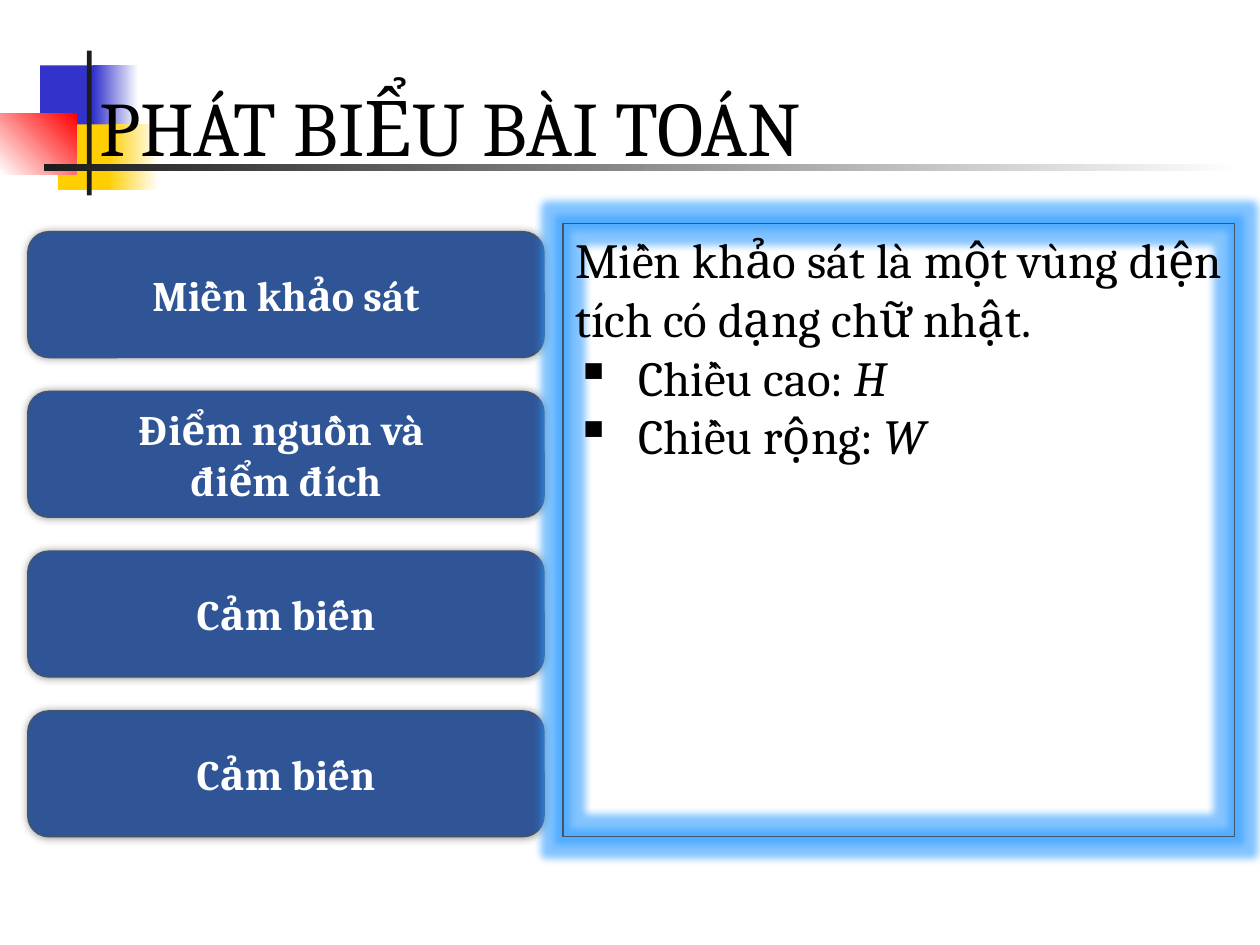
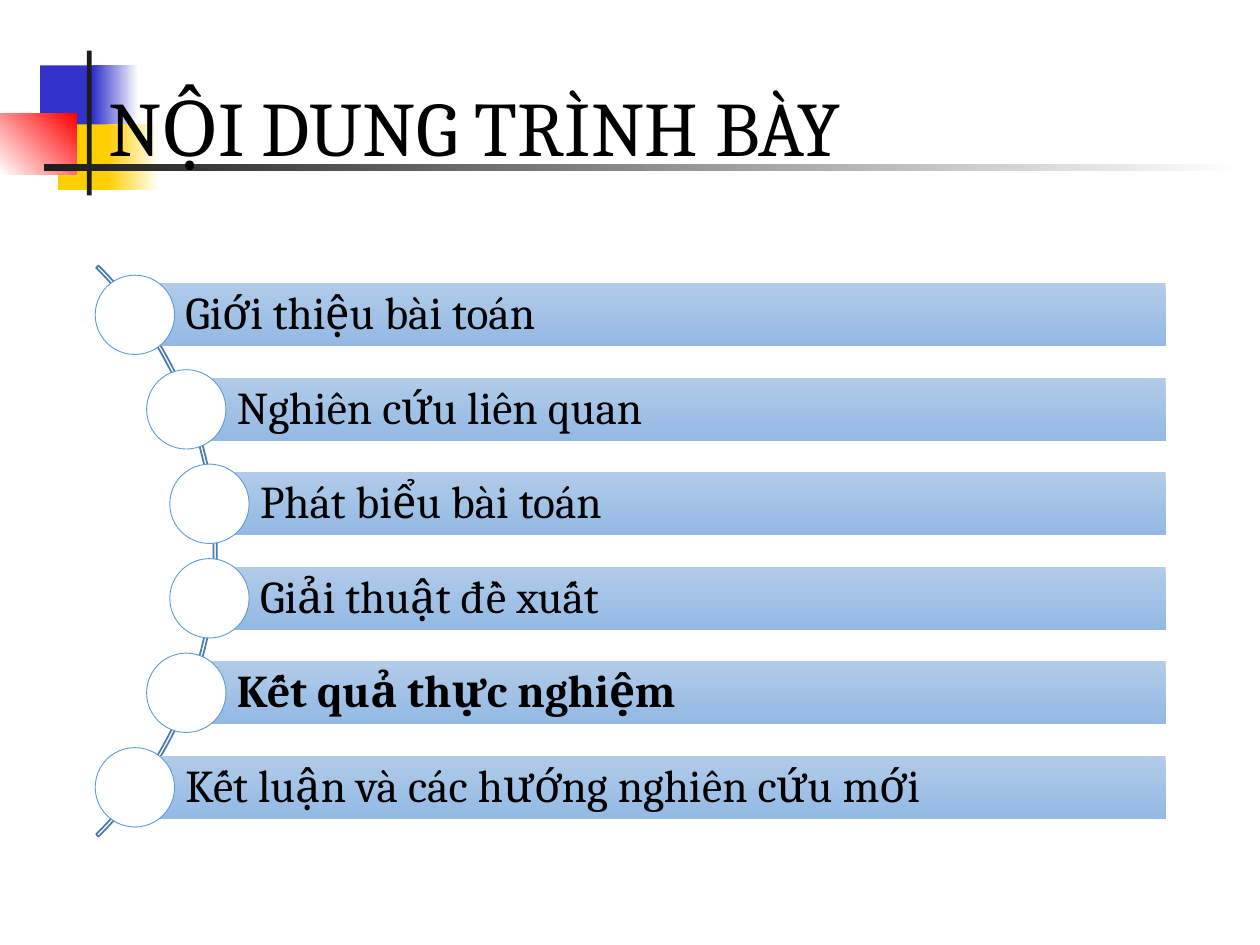
import math
from dataclasses import dataclass

import lxml.etree
import pptx
import pptx.dml.color
import pptx.enum.shapes
import pptx.enum.text
import pptx.oxml.ns
import pptx.util

Cm = pptx.util.Cm
Pt = pptx.util.Pt
qn = pptx.oxml.ns.qn
Shapes = pptx.enum.shapes.MSO_SHAPE
Align = pptx.enum.text.PP_ALIGN
Anchor = pptx.enum.text.MSO_ANCHOR


@dataclass(frozen=True)
class Theme:
    font: str = "Cambria"
    black: str = "000000"
    white: str = "FFFFFF"
    blue: str = "3333CC"
    yellow: str = "FFCF01"
    red: str = "FF0000"
    rule: str = "1C1C1C"
    card: str = "2F5597"
    outline: str = "44546A"
    glow: str = "319DFF"
    arc: str = "497CAB"
    circle: str = "5B9BD5"
    bar_top: str = "B1CBE9"
    bar_bottom: str = "93B9E4"
    title_size: int = 44
    body_size: int = 28
    agenda_size: int = 26
    card_size: int = 24


THEME = Theme()


@dataclass(frozen=True)
class Box:
    left: float
    top: float
    width: float
    height: float

    def lengths(self) -> list[int]:
        return [Cm(side) for side in (self.left, self.top, self.width, self.height)]


@dataclass(frozen=True)
class Gradient:
    start: str
    end: str
    angle: int = 0


@dataclass(frozen=True)
class Outline:
    color: str
    width: float


@dataclass(frozen=True)
class Run:
    text: str
    italic: bool = False


@dataclass(frozen=True)
class Line:
    runs: tuple[Run, ...]
    align: Align = Align.LEFT
    bullet: str = ""


@dataclass(frozen=True)
class Block:
    box: Box
    fill: str | Gradient


@dataclass(frozen=True)
class AgendaItem:
    text: str
    current: bool = False


MOTIF = (
    Block(Box(0.81, 1.32, 1.22, 1.32), THEME.blue),
    Block(Box(1.88, 1.32, 0.91, 1.32), Gradient(THEME.blue, THEME.white)),
    Block(Box(1.17, 2.51, 1.17, 1.32), THEME.yellow),
    Block(Box(2.18, 2.51, 1.02, 1.32), Gradient(THEME.yellow, THEME.white)),
    Block(Box(0, 2.29, 1.55, 1.22), Gradient(THEME.white, THEME.red, 45)),
    Block(Box(1.75, 1.02, 0.1, 2.92), THEME.rule),
    Block(Box(0.89, 3.3, 24.15, 0.15), Gradient(THEME.rule, THEME.white)),
)

CARDS = (
    ("Miền khảo sát",),
    ("Điểm nguồn và ", "điểm đích"),
    ("Cảm biến",),
    ("Cảm biến",),
)

PANEL_LINES = (
    Line((Run("Miền khảo sát là một vùng diện tích có dạng chữ nhật."),), Align.JUSTIFY),
    Line((Run("Chiều cao: "), Run("H", italic=True)), bullet="▪"),
    Line((Run("Chiều rộng: "), Run("W", italic=True)), bullet="▪"),
)

AGENDA = (
    AgendaItem("Giới thiệu bài toán"),
    AgendaItem("Nghiên cứu liên quan"),
    AgendaItem("Phát biểu bài toán"),
    AgendaItem("Giải thuật đề xuất"),
    AgendaItem("Kết quả thực nghiệm", current=True),
    AgendaItem("Kết luận và các hướng nghiên cứu mới"),
)


def rgb(color: str) -> pptx.dml.color.RGBColor:
    return pptx.dml.color.RGBColor.from_string(color)


def plain_lines(*texts: str, align: Align = Align.LEFT) -> tuple[Line, ...]:
    return tuple(Line((Run(text),), align) for text in texts)


def draw_shape(slide, kind: Shapes, box: Box, *, fill: str | Gradient | None = None,
               outline: Outline | None = None):
    shape = slide.shapes.add_shape(kind, *box.lengths())
    shape.shadow.inherit = False
    if isinstance(fill, Gradient):
        shape.fill.gradient()
        shape.fill.gradient_angle = fill.angle
        for stop, color in zip(shape.fill.gradient_stops, (fill.start, fill.end)):
            stop.color.rgb = rgb(color)
    elif fill:
        shape.fill.solid()
        shape.fill.fore_color.rgb = rgb(fill)
    else:
        shape.fill.background()
    if outline:
        shape.line.color.rgb = rgb(outline.color)
        shape.line.width = Pt(outline.width)
    else:
        shape.line.fill.background()
    return shape


def add_effect(shape, name: str, color: str, opacity: int, **attributes: int) -> None:
    effects = shape._element.spPr.find(qn("a:effectLst"))
    values = {key: str(int(value)) for key, value in attributes.items()}
    effect = lxml.etree.SubElement(effects, qn(f"a:{name}"), values)
    tint = lxml.etree.SubElement(effect, qn("a:srgbClr"), val=color)
    lxml.etree.SubElement(tint, qn("a:alpha"), val=str(opacity * 1000))


def write_text(shape, lines: tuple[Line, ...], *, size: int, color: str = THEME.black,
               bold: bool = False, anchor: Anchor = Anchor.MIDDLE, spacing: float = 1.0,
               left_inset: float = 0.25) -> None:
    frame = shape.text_frame
    frame.word_wrap = True
    frame.vertical_anchor = anchor
    frame.margin_left = Cm(left_inset)
    for index, line in enumerate(lines):
        paragraph = frame.add_paragraph() if index else frame.paragraphs[0]
        paragraph.alignment = line.align
        paragraph.line_spacing = spacing
        if line.bullet:
            properties = paragraph._p.get_or_add_pPr()
            properties.set("marL", str(int(Cm(1.27))))
            properties.set("indent", str(int(Cm(-1.27))))
            lxml.etree.SubElement(properties, qn("a:buChar"), char=line.bullet)
        for part in line.runs:
            run = paragraph.add_run()
            run.text = part.text
            run.font.name = THEME.font
            run.font.size = Pt(size)
            run.font.bold = bold
            run.font.italic = part.italic
            run.font.color.rgb = rgb(color)


def add_titled_slide(presentation, title: str, title_left: float):
    slide = presentation.slides.add_slide(presentation.slide_layouts[6])
    for block in MOTIF:
        draw_shape(slide, Shapes.RECTANGLE, block.box, fill=block.fill)
    title_box = slide.shapes.add_textbox(*Box(title_left, 0.81, 21.89, 3.68).lengths())
    write_text(title_box, plain_lines(title), size=THEME.title_size, spacing=0.9)
    return slide


def build_problem_slide(presentation) -> None:
    slide = add_titled_slide(presentation, "PHÁT BIỂU BÀI TOÁN", 1.75)
    outline = Outline(THEME.outline, 0.75)
    for index, texts in enumerate(CARDS):
        card = draw_shape(slide, Shapes.ROUNDED_RECTANGLE,
                          Box(0.56, 4.67 + 3.22 * index, 10.41, 2.54),
                          fill=THEME.card, outline=outline)
        add_effect(card, "outerShdw", THEME.black, 40, blurRad=Pt(5), dist=0, dir=0)
        write_text(card, plain_lines(*texts, align=Align.CENTER),
                   size=THEME.card_size, color=THEME.white, bold=True)
    panel = draw_shape(slide, Shapes.RECTANGLE, Box(11.35, 4.5, 13.54, 12.37), outline=outline)
    add_effect(panel, "glow", THEME.glow, 60, rad=Pt(8))
    write_text(panel, PANEL_LINES, size=THEME.body_size, anchor=Anchor.TOP)


def build_agenda_slide(presentation) -> None:
    slide = add_titled_slide(presentation, "NỘI DUNG TRÌNH BÀY", 1.93)
    center_x, center_y = -3.77, 11.11
    arc_radius, item_radius = 8.14, 8.05
    bar_right, bar_height, diameter = 23.5, 1.27, 1.6
    pitch = 1.5 * bar_height

    arc = draw_shape(slide, Shapes.BLOCK_ARC,
                     Box(center_x - arc_radius, center_y - arc_radius,
                         2 * arc_radius, 2 * arc_radius),
                     outline=Outline(THEME.arc, 1))
    for index, value in enumerate((189, 27, 0.004)):
        arc.adjustments[index] = value

    for index, item in enumerate(AGENDA):
        offset = (index - (len(AGENDA) - 1) / 2) * pitch
        left = center_x + math.sqrt(item_radius ** 2 - offset ** 2)
        middle = center_y + offset
        bar = draw_shape(slide, Shapes.RECTANGLE,
                         Box(left, middle - bar_height / 2, bar_right - left, bar_height),
                         fill=Gradient(THEME.bar_top, THEME.bar_bottom, 270))
        write_text(bar, plain_lines(item.text), size=THEME.agenda_size,
                   bold=item.current, spacing=0.9, left_inset=1.02)
        draw_shape(slide, Shapes.OVAL,
                   Box(left - diameter / 2, middle - diameter / 2, diameter, diameter),
                   fill=THEME.white, outline=Outline(THEME.circle, 0.5))


def main() -> None:
    presentation = pptx.Presentation()
    presentation.slide_width = Cm(25.4)
    presentation.slide_height = Cm(19.05)
    build_problem_slide(presentation)
    build_agenda_slide(presentation)
    presentation.save("out.pptx")


if __name__ == "__main__":
    main()
